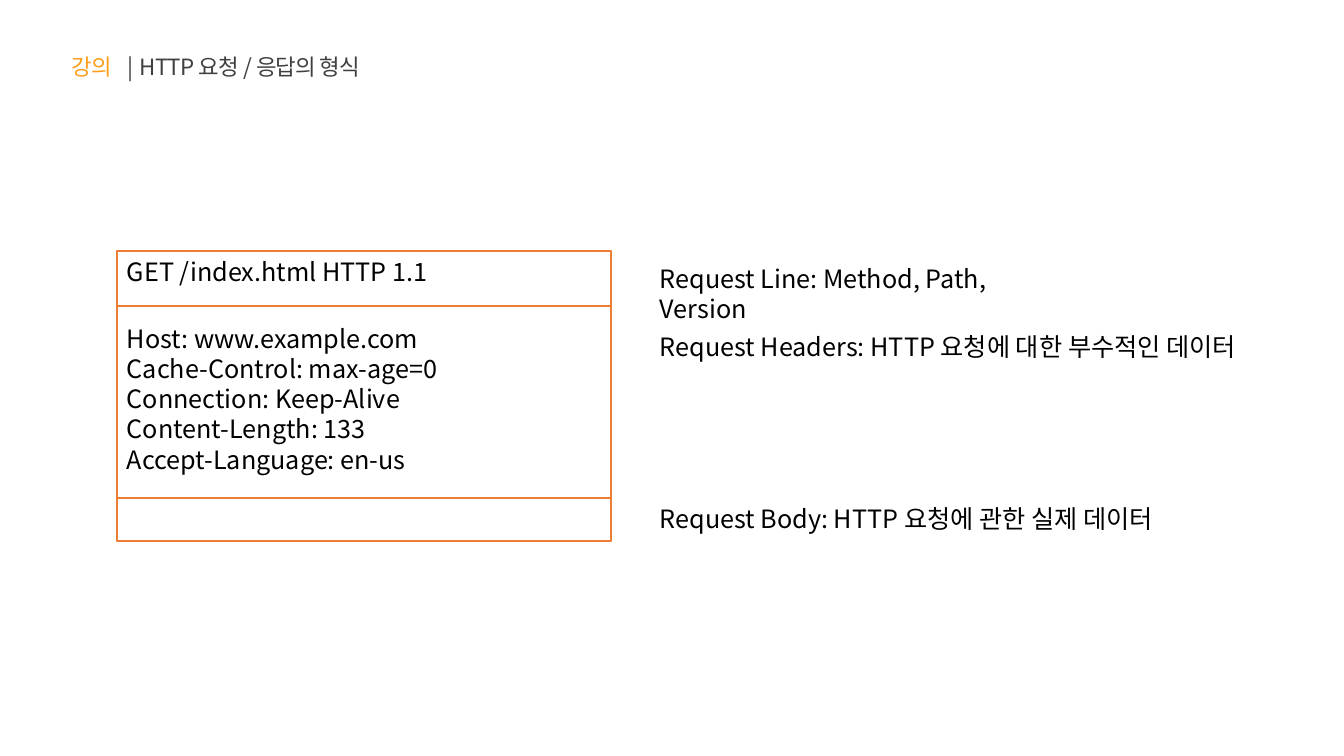
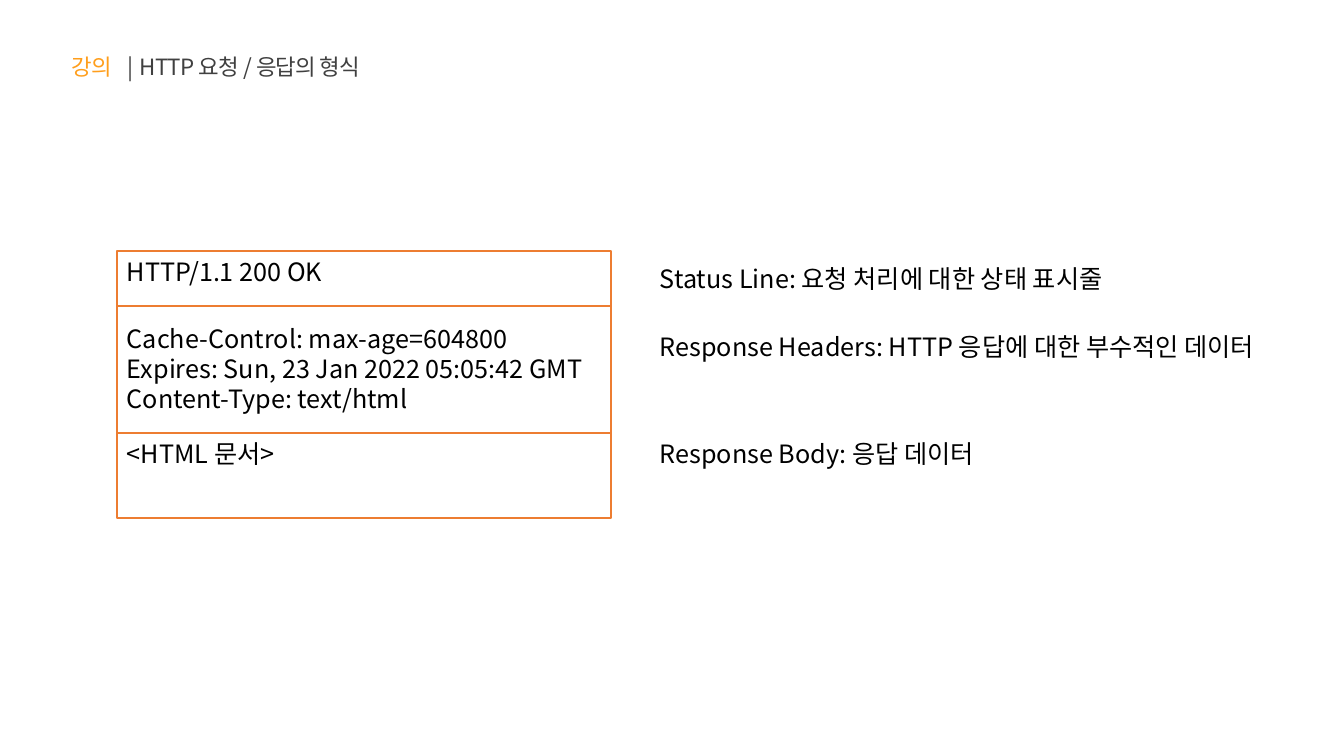
from lxml import etree
from pptx import Presentation
from pptx import util as u
from pptx.dml.color import RGBColor
from pptx.enum import shapes, text
from pptx.oxml.ns import qn

PX = 914400 / 100.8
FONT = "Noto Sans CJK KR"
ORANGE, AMBER, GREY, BLACK = "ED7D31", "FF9E1B", "404040", "000000"
TITLE = [("강의\t", AMBER), ("|\tHTTP 요청 / 응답의 형식", GREY)]
TITLE_TABS = (56, 68)
FRAME_LEFT, FRAME_TOP, FRAME_WIDTH = 117, 251, 494
NOTE_LEFT = 650

MESSAGES = [
    {
        "height": 290,
        "dividers": (306, 498),
        "parts": [
            (251, ["GET /index.html HTTP 1.1"]),
            (318, ["Host: www.example.com", "Cache-Control: max-age=0",
                   "Connection: Keep-Alive", "Content-Length: 133",
                   "Accept-Language: en-us"]),
        ],
        "notes": [
            (258, 437, "Request Line: Method, Path, Version"),
            (326, 632, "Request Headers: HTTP 요청에 대한 부수적인 데이터"),
            (498, 545, "Request Body: HTTP 요청에 관한 실제 데이터"),
        ],
    },
    {
        "height": 267,
        "dividers": (306, 433),
        "parts": [
            (251, ["HTTP/1.1 200 OK"]),
            (318, ["Cache-Control: max-age=604800",
                   "Expires: Sun, 23 Jan 2022 05:05:42 GMT",
                   "Content-Type: text/html"]),
            (433, ["<HTML 문서>"]),
        ],
        "notes": [
            (258, 502, "Status Line: 요청 처리에 대한 상태 표시줄"),
            (326, 649, "Response Headers: HTTP 응답에 대한 부수적인 데이터"),
            (433, 347, "Response Body: 응답 데이터"),
        ],
    },
]


def px(value):
    return u.Emu(round(value * PX))


def color(value):
    return RGBColor.from_string(value)


def add_text(slide, left, top, width, paragraphs, size=18, tabs=(), spacing=None):
    height = 10 + len(paragraphs) * size * 1.2 * 1.4
    box = slide.shapes.add_textbox(px(left), px(top), px(width), px(height))
    frame = box.text_frame
    frame.word_wrap = True
    frame.vertical_anchor = text.MSO_ANCHOR.TOP
    for index, runs in enumerate(paragraphs):
        paragraph = frame.add_paragraph() if index else frame.paragraphs[0]
        paragraph.line_spacing = u.Pt(size * 1.2)
        if tabs:
            tab_list = etree.SubElement(paragraph._p.get_or_add_pPr(), qn("a:tabLst"))
            for position in tabs:
                etree.SubElement(tab_list, qn("a:tab"), pos=str(px(position)), algn="l")
        for words, ink in runs:
            run = paragraph.add_run()
            run.text = words
            run.font.size = u.Pt(size)
            run.font.name = FONT
            run.font.color.rgb = color(ink)
            properties = run.font._element
            etree.SubElement(properties, qn("a:ea"), typeface=FONT)
            if spacing:
                properties.set("spc", str(spacing))


def outline(shape):
    shape.line.color.rgb = color(ORANGE)
    shape.line.width = u.Pt(1.5)


def add_frame(slide, height, dividers):
    frame = slide.shapes.add_shape(shapes.MSO_SHAPE.RECTANGLE, px(FRAME_LEFT),
                                   px(FRAME_TOP), px(FRAME_WIDTH), px(height))
    frame.shadow.inherit = False
    frame.fill.background()
    outline(frame)
    for y in dividers:
        divider = slide.shapes.add_connector(
            shapes.MSO_CONNECTOR.STRAIGHT, px(FRAME_LEFT), px(y),
            px(FRAME_LEFT + FRAME_WIDTH), px(y))
        outline(divider)
        etree.SubElement(divider._element.spPr, qn("a:effectLst"))


def add_message(presentation, message):
    slide = presentation.slides.add_slide(presentation.slide_layouts[6])
    add_text(slide, 62, 48, 519, [TITLE], 16, TITLE_TABS, -60)
    add_frame(slide, message["height"], message["dividers"])
    for top, lines in message["parts"]:
        add_text(slide, FRAME_LEFT, top, FRAME_WIDTH, [[(line, BLACK)] for line in lines])
    for top, width, note in message["notes"]:
        add_text(slide, NOTE_LEFT, top, width, [[(note, BLACK)]])


def main():
    presentation = Presentation()
    presentation.slide_width = px(1344)
    presentation.slide_height = px(756)
    for message in MESSAGES:
        add_message(presentation, message)
    presentation.save("out.pptx")


if __name__ == "__main__":
    main()
